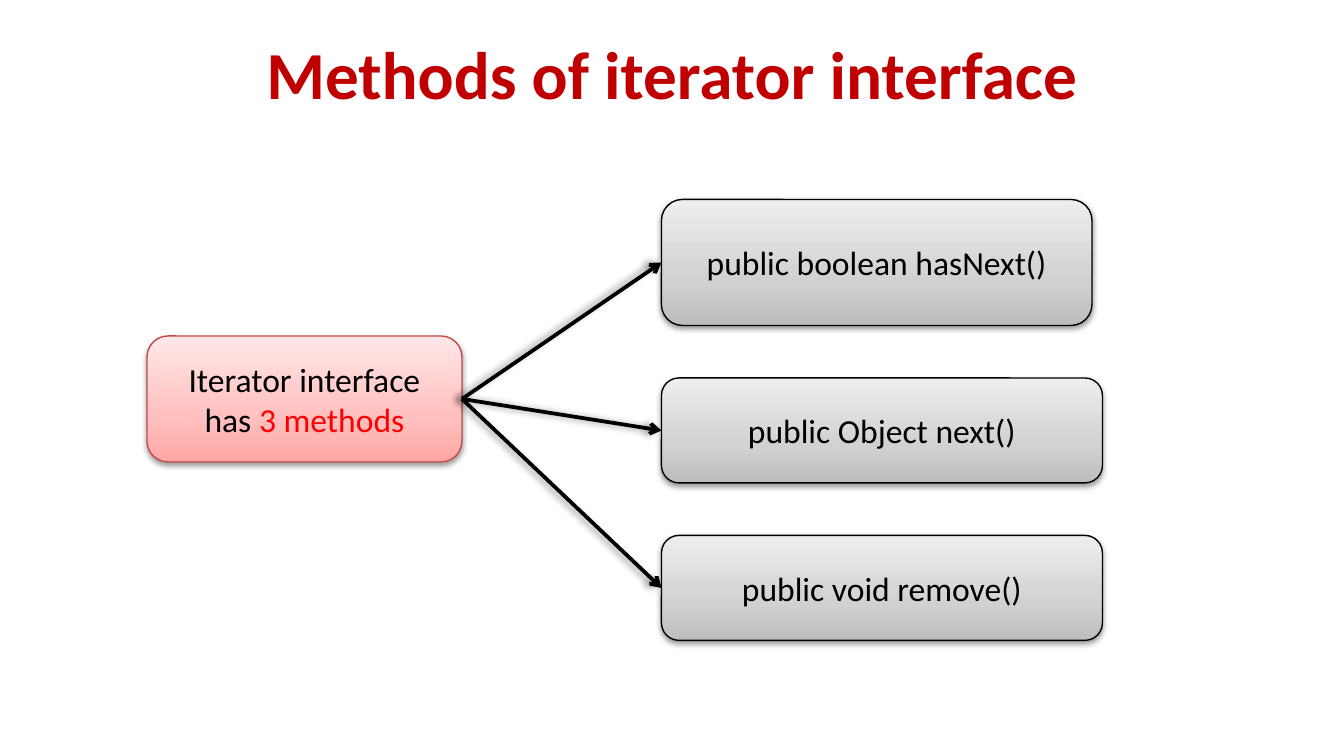
from lxml.etree import SubElement
from pptx import Presentation
from pptx.dml.color import RGBColor
from pptx.enum.shapes import MSO_CONNECTOR, MSO_SHAPE
from pptx.enum.text import MSO_ANCHOR, MSO_AUTO_SIZE, PP_ALIGN
from pptx.oxml.ns import qn
from pptx.util import Pt

BLACK, RED, DARK_RED = "000000", "FF0000", "C00000"
PINK = {"stops": ("FFA6A5", "FFC0BF", "FFE7E7"), "outline": "BF4C48"}
GREY = {"stops": ("BDBDBD", "D1D1D1", "EEEEEE"), "outline": BLACK}
STOP_POSITIONS = (0, 35, 100)
BOX_SHADOW = {"blur": 3.1, "distance": 1.6, "angle": 90, "opacity": 38}
ARROW_SHADOW = {"blur": 4, "distance": 3, "angle": 180, "opacity": 40}
RIGHT_SIDE, LEFT_SIDE = 3, 1

INTERFACE_BOX = (78.75, 180, 168.75, 67.5)
METHODS_BOX = (354.38, 106.88, 236.25, 236.25)
# Signature, width and height of each method box
METHODS = (
    ("public boolean hasNext()", 230.63, 67.5),
    ("public Object next()", 236.25, 56.25),
    ("public void remove()", 236.25, 56.25),
)


def rgb(hex_code):
    return RGBColor.from_string(hex_code)


def add_run(paragraph, text, size, color, bold=False):
    run = paragraph.add_run()
    run.text = text
    font_format = {"name": "Calibri", "size": Pt(size), "bold": bold}
    for attribute, value in font_format.items():
        setattr(run.font, attribute, value)
    run.font.color.rgb = rgb(color)


def add_color(parent, hex_code):
    return SubElement(parent, qn("a:srgbClr"), val=hex_code)


def add_shadow(effects, blur, distance, angle, opacity):
    shadow = SubElement(
        effects, qn("a:outerShdw"), blurRad=str(Pt(blur)), dist=str(Pt(distance)),
        dir=str(angle * 60000), rotWithShape="0")
    SubElement(add_color(shadow, BLACK), qn("a:alpha"), val=str(opacity * 1000))


def fill_gradient(shape, colors):
    """Fill from the bottom edge up with three colour stops."""
    shape.fill.gradient()
    shape.fill.gradient_angle = 90
    stops = shape._element.spPr.find(".//" + qn("a:gsLst"))
    for stop in list(stops):
        stops.remove(stop)
    for position, color in zip(STOP_POSITIONS, colors):
        add_color(SubElement(stops, qn("a:gs"), pos=str(position * 1000)), color)


def add_title(slide, box):
    title = slide.shapes.title
    for attribute, value in zip(("left", "top", "width", "height"), box):
        setattr(title, attribute, Pt(value))
    frame_format = {
        "word_wrap": True, "auto_size": MSO_AUTO_SIZE.NONE,
        "vertical_anchor": MSO_ANCHOR.MIDDLE,
        "margin_left": 0, "margin_right": 0, "margin_top": 0, "margin_bottom": 0,
    }
    for attribute, value in frame_format.items():
        setattr(title.text_frame, attribute, value)
    heading = title.text_frame.paragraphs[0]
    heading.alignment = PP_ALIGN.CENTER
    add_run(heading, "Methods of iterator interface", 36, DARK_RED, bold=True)


def add_node(slide, box, style, parts):
    """Add a rounded box whose text is made of (text, colour) parts."""
    node = slide.shapes.add_shape(MSO_SHAPE.ROUNDED_RECTANGLE, *map(Pt, box))
    fill_gradient(node, style["stops"])
    node.line.color.rgb = rgb(style["outline"])
    node.line.width = Pt(0.75)
    node.shadow.inherit = False
    add_shadow(node._element.spPr.find(qn("a:effectLst")), **BOX_SHADOW)
    node.text_frame.word_wrap = True
    node.text_frame.vertical_anchor = MSO_ANCHOR.MIDDLE
    label = node.text_frame.paragraphs[0]
    label.alignment = PP_ALIGN.CENTER
    for text, color in parts:
        add_run(label, text, 18, color)
    return node


def add_methods(slide, box):
    """Stack the method boxes with equal gaps over the height of the box."""
    left, top, _, total_height = box
    gap = (total_height - sum(height for *_, height in METHODS)) / (len(METHODS) - 1)
    nodes = []
    for signature, width, height in METHODS:
        parts = [(signature, BLACK)]
        nodes.append(add_node(slide, (left, top, width, height), GREY, parts))
        top += height + gap
    return nodes


def add_arrow(slide, source, target):
    arrow = slide.shapes.add_connector(MSO_CONNECTOR.STRAIGHT, 0, 0, 0, 0)
    arrow.begin_connect(source, RIGHT_SIDE)
    arrow.end_connect(target, LEFT_SIDE)
    arrow.line.color.rgb = rgb(BLACK)
    arrow.line.width = Pt(2)
    properties = arrow._element.spPr
    SubElement(properties.find(qn("a:ln")), qn("a:tailEnd"), type="arrow")
    add_shadow(SubElement(properties, qn("a:effectLst")), **ARROW_SHADOW)


def main():
    presentation = Presentation()
    presentation.slide_width = Pt(720)
    presentation.slide_height = Pt(405)
    slide = presentation.slides.add_slide(
        presentation.slide_layouts.get_by_name("Title Only"))
    add_title(slide, (49.5, 21.6, 621, 34.6))
    interface = add_node(slide, INTERFACE_BOX, PINK, [
        ("Iterator interface has ", BLACK), ("3 methods", RED)])
    for method in add_methods(slide, METHODS_BOX):
        add_arrow(slide, interface, method)
    presentation.save("out.pptx")


if __name__ == "__main__":
    main()
